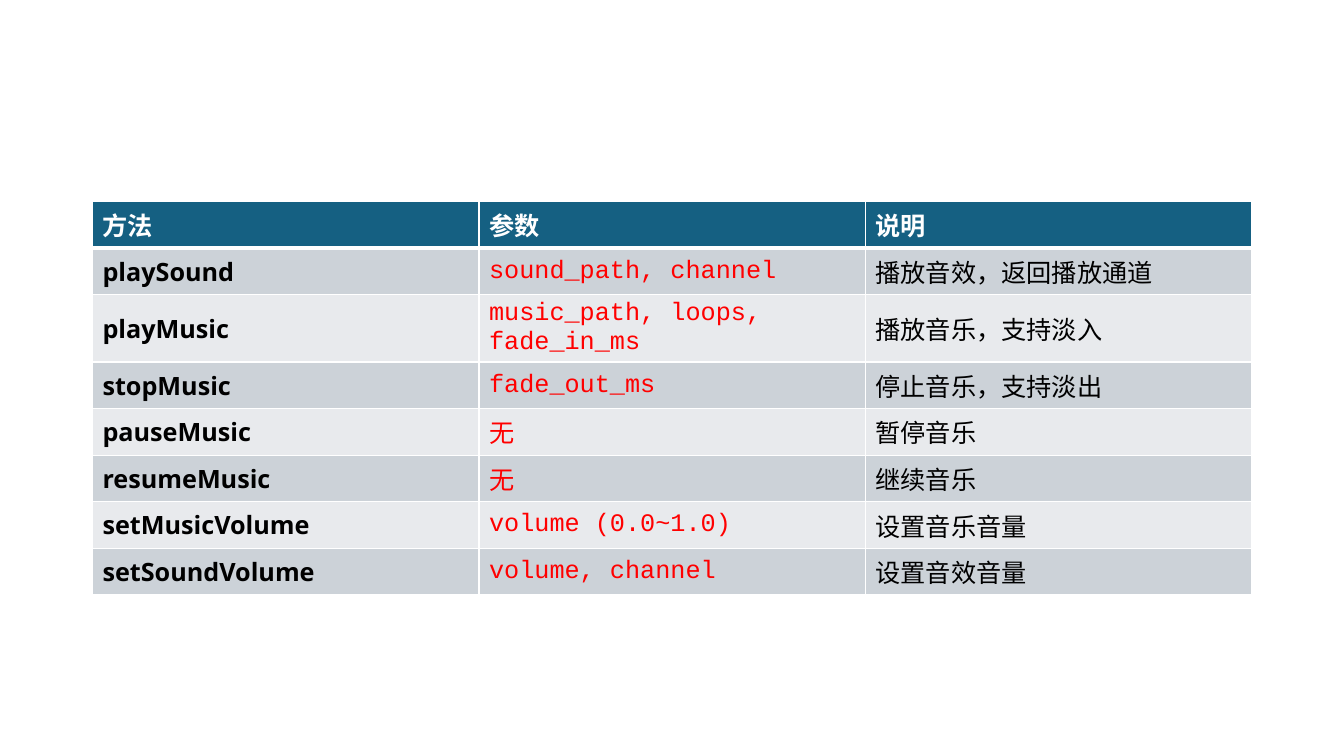
from dataclasses import dataclass

from lxml.etree import SubElement
from pptx import Presentation
from pptx.dml.color import RGBColor as RGB
from pptx.enum.text import MSO_ANCHOR as Anchor
from pptx.oxml.ns import qn
from pptx.util import Cm, Pt

HEADINGS = ("方法", "参数", "说明")
METHODS = [
    ("playSound", "sound_path, channel", "播放音效，返回播放通道"),
    ("playMusic", "music_path, loops, fade_in_ms", "播放音乐，支持淡入"),
    ("stopMusic", "fade_out_ms", "停止音乐，支持淡出"),
    ("pauseMusic", "无", "暂停音乐"),
    ("resumeMusic", "无", "继续音乐"),
    ("setMusicVolume", "volume (0.0~1.0)", "设置音乐音量"),
    ("setSoundVolume", "volume, channel", "设置音效音量"),
]


@dataclass(frozen=True)
class Theme:
    body_font: str = "Open Sans"
    code_font: str = "Courier New"
    text_size: int = 18
    heading_text: str = "FFFFFF"
    body_text: str = "000000"
    code_text: str = "FF0000"
    heading_fill: str = "156082"
    bands: tuple = ("CCD2D8", "E8EAED")
    rule: str = "FFFFFF"
    thin_rule: int = 1
    thick_rule: int = 3


THEME = Theme()
LEFT, TOP = 2.33, 5.08
COLUMN_WIDTH, ROW_HEIGHT = 9.74, 1.03


def text_style(row, column, wording):
    """Return font, colour and boldness for a cell."""
    if row == 0:
        return THEME.body_font, THEME.heading_text, True
    if column == 1:
        font = THEME.code_font if wording.isascii() else THEME.body_font
        return font, THEME.code_text, False
    return THEME.body_font, THEME.body_text, column == 0


def add_borders(cell, row):
    """Rule every side, with a thick rule between heading and body."""
    widths = {side: THEME.thin_rule for side in ("lnL", "lnR", "lnT", "lnB")}
    if row == 0:
        widths["lnB"] = THEME.thick_rule
    elif row == 1:
        widths["lnT"] = THEME.thick_rule
    properties = cell._tc.get_or_add_tcPr()
    for side, width in widths.items():
        line = SubElement(properties, qn(f"a:{side}"), w=str(Pt(width)))
        fill = SubElement(line, qn("a:solidFill"))
        SubElement(fill, qn("a:srgbClr"), val=THEME.rule)


def fill_cell(cell, row, column, wording):
    # Borders precede the fill in the cell properties
    add_borders(cell, row)
    cell.fill.solid()
    cell.fill.fore_color.rgb = RGB.from_string(
        THEME.bands[(row - 1) % 2] if row else THEME.heading_fill)
    cell.vertical_anchor = Anchor.MIDDLE

    cell.text_frame.text = wording
    font = cell.text_frame.paragraphs[0].runs[0].font
    font.name, colour, font.bold = text_style(row, column, wording)
    font.color.rgb = RGB.from_string(colour)
    font.size = Pt(THEME.text_size)


def add_method_table(slide):
    rows = [HEADINGS, *METHODS]
    methods = slide.shapes.add_table(
        len(rows), len(HEADINGS), Cm(LEFT), Cm(TOP),
        Cm(COLUMN_WIDTH * len(HEADINGS)), Cm(ROW_HEIGHT * len(rows))).table
    for column in methods.columns:
        column.width = Cm(COLUMN_WIDTH)
    for r, wordings in enumerate(rows):
        methods.rows[r].height = Cm(ROW_HEIGHT)
        for c, wording in enumerate(wordings):
            fill_cell(methods.cell(r, c), r, c, wording)


def main():
    deck = Presentation()
    deck.slide_width, deck.slide_height = Cm(33.87), Cm(19.05)
    add_method_table(deck.slides.add_slide(deck.slide_layouts[6]))
    deck.save("out.pptx")


if __name__ == "__main__":
    main()
